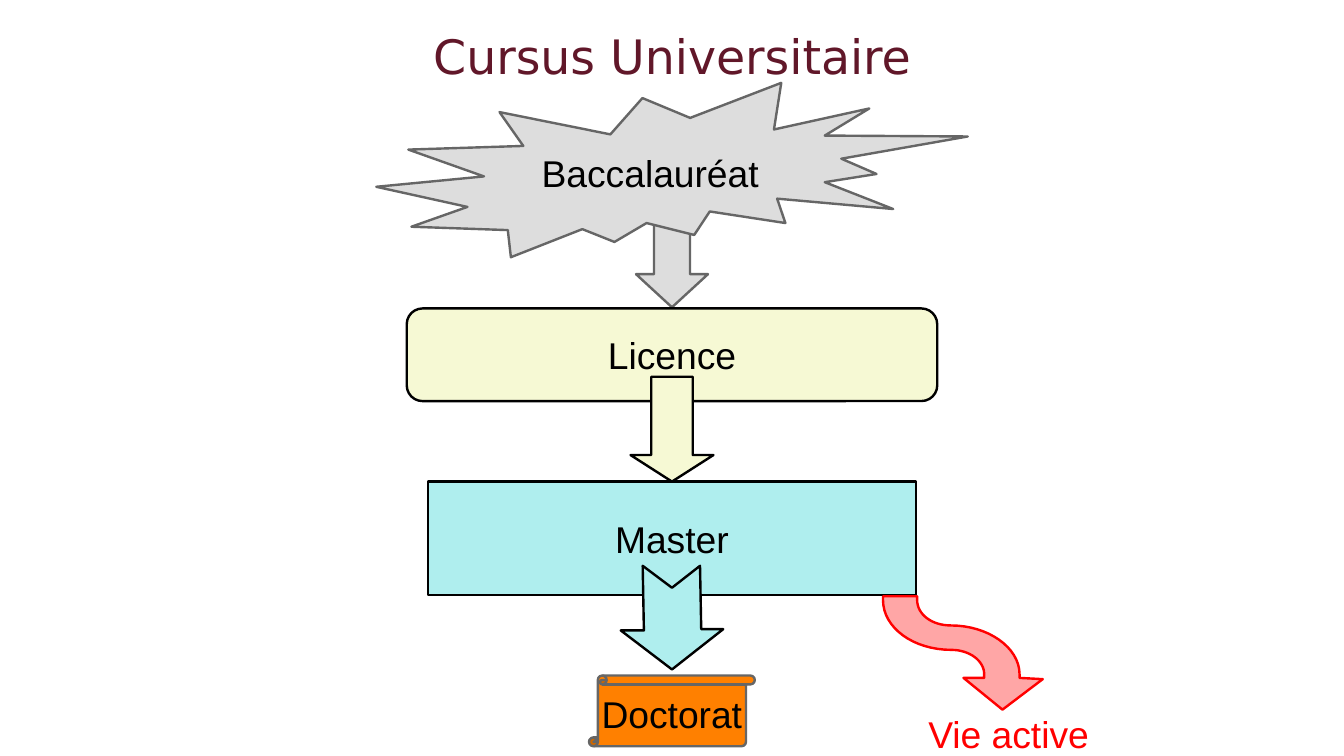
"""Build the slide showing the university path from baccalauréat to doctorate."""
import pptx
import pptx.dml.color
import pptx.enum.shapes
import pptx.enum.text
import pptx.util

Inches = pptx.util.Inches
Kind = pptx.enum.shapes.MSO_SHAPE

SIZE = (11.02, 6.2)
AXIS = SIZE[0] / 2
GREY, CREAM, TURQUOISE, ORANGE, PINK = "DDDDDD", "F6F9D4", "AFEEEE", "FF8000", "FFA6A6"
BLACK, DARK_GREY, RED, BURGUNDY = "000000", "666666", "FF0000", "611729"

TITLE = ("Cursus Universitaire", (0.55, 0.1, 9.92, 0.71), 28, "DejaVu Sans", BURGUNDY)
EXIT_LABEL = ("Vie active", (7.51, 5.8, 1.52, 0.44), 22, "Arial", RED)

STEPS = [
    (Kind.DOWN_ARROW, "", 1.44, 0.59, 1.08, GREY, DARK_GREY, (0.5, 0.46)),
    (Kind.EXPLOSION2, "Baccalauréat", 0.68, 4.85, 1.43, GREY, DARK_GREY, ()),
    (Kind.ROUNDED_RECTANGLE, "Licence", 2.53, 4.35, 0.76, CREAM, BLACK, (0.17,)),
    (Kind.DOWN_ARROW, "", 3.09, 0.68, 0.86, CREAM, BLACK, (0.5, 0.32)),
    (Kind.RECTANGLE, "Master", 3.95, 4, 0.93, TURQUOISE, BLACK, ()),
    (Kind.VERTICAL_SCROLL, "Doctorat", 5.54, 1.36, 0.58, ORANGE, DARK_GREY, (0.125,)),
]

NOTCHED_ARROW = [
    (5.74, 4.64), (5.75, 5.16), (5.93, 5.16), (5.51, 5.49),
    (5.09, 5.17), (5.28, 5.17), (5.27, 4.64), (5.51, 4.82),
]
EXIT_ARROW = [
    (8.36, 5.53),
    (8.36, 5.31, 8.1, 5.13, 7.8, 5.13),
    (7.64, 5.13, 7.52, 5.04, 7.52, 4.92),
    (7.52, 4.89), (7.24, 4.89), (7.24, 4.92),
    (7.24, 5.15, 7.49, 5.33, 7.8, 5.33),
    (7.95, 5.33, 8.07, 5.42, 8.07, 5.53),
    (8.07, 5.56), (7.9, 5.56), (8.22, 5.82), (8.55, 5.57), (8.36, 5.56),
]
CURVE_STEPS = 16


def color(code):
    return pptx.dml.color.RGBColor.from_string(code)


def paint(shape, fill, line):
    shape.shadow.inherit = False
    shape.fill.solid()
    shape.fill.fore_color.rgb = color(fill)
    shape.line.color.rgb = color(line)
    shape.line.width = pptx.util.Pt(1.42)


def write(shape, text, size, font, ink, margins, wrap=False):
    frame = shape.text_frame
    frame.word_wrap = wrap
    frame.vertical_anchor = pptx.enum.text.MSO_ANCHOR.MIDDLE
    frame.margin_left = frame.margin_right = Inches(margins[0])
    frame.margin_top = frame.margin_bottom = Inches(margins[1])
    para = frame.paragraphs[0]
    para.alignment = pptx.enum.text.PP_ALIGN.CENTER
    span = para.add_run()
    span.text = text
    span.font.size = pptx.util.Pt(size)
    span.font.name = font
    span.font.color.rgb = color(ink)


def add_label(page, label, margins, wrap):
    text, place, size, font, ink = label
    box = page.shapes.add_textbox(*map(Inches, place))
    write(box, text, size, font, ink, margins, wrap)


def add_step(page, kind, text, top, width, height, fill, line, adjustments):
    place = (AXIS - width / 2, top, width, height)
    shape = page.shapes.add_shape(kind, *map(Inches, place))
    for index, value in enumerate(adjustments):
        shape.adjustments[index] = value
    paint(shape, fill, line)
    if text:
        write(shape, text, 22, "Arial", BLACK, (0.11, 0.06))


def bezier(start, curve):
    corners = [start, curve[0:2], curve[2:4], curve[4:6]]
    for step in range(1, CURVE_STEPS + 1):
        t = step / CURVE_STEPS
        weights = ((1 - t) ** 3, 3 * t * (1 - t) ** 2, 3 * t * t * (1 - t), t ** 3)
        yield tuple(
            sum(weight * corner[axis] for weight, corner in zip(weights, corners))
            for axis in (0, 1)
        )


def add_outline(page, outline, fill, line):
    points = [outline[0]]
    for part in outline[1:]:
        points.extend([part] if len(part) == 2 else list(bezier(points[-1], part)))
    start, *rest = [(Inches(x), Inches(y)) for x, y in points]
    builder = page.shapes.build_freeform(*start)
    builder.add_line_segments(rest, close=True)
    paint(builder.convert_to_shape(), fill, line)


def main():
    deck = pptx.Presentation()
    deck.slide_width, deck.slide_height = map(Inches, SIZE)
    page = deck.slides.add_slide(deck.slide_layouts[6])
    add_label(page, TITLE, (0, 0), True)
    for step in STEPS:
        add_step(page, *step)
    add_outline(page, NOTCHED_ARROW, TURQUOISE, BLACK)
    add_outline(page, EXIT_ARROW, PINK, RED)
    add_label(page, EXIT_LABEL, (0.1, 0.05), False)
    deck.save("out.pptx")


if __name__ == "__main__":
    main()
